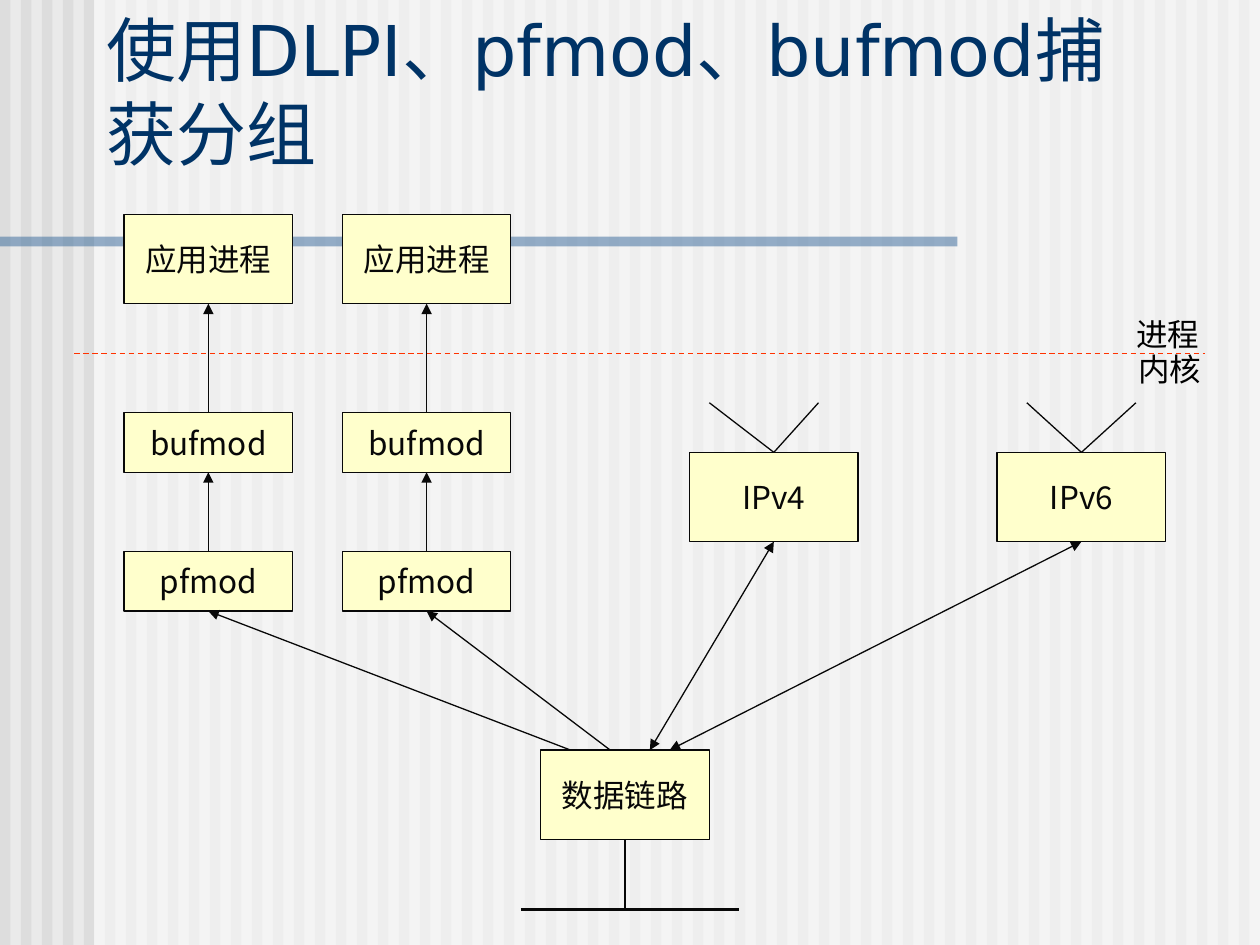
"""Build a slide on capturing packets with DLPI, pfmod and bufmod."""
from dataclasses import dataclass
from typing import Optional

from lxml.etree import SubElement
from pptx import Presentation
from pptx.dml.color import RGBColor
from pptx.enum.dml import MSO_LINE
from pptx.enum.shapes import MSO_CONNECTOR, MSO_SHAPE
from pptx.enum.text import MSO_ANCHOR, MSO_AUTO_SIZE, PP_ALIGN
from pptx.oxml.ns import qn
from pptx.util import Cm, Pt

COLORS = {
    "back": "EAEAEA", "stripe": "DDDDDD", "panel": "FFFFFF", "rule": "336699",
    "title": "003366", "box": "FFFFCC", "ink": "080808", "label": "000000",
    "border": "FF3300",
}
SANS = "Noto Sans CJK JP"
WIDE, HIGH = 25.4, 19.05
BOX, TALL, LOW = 3.4, 1.8, 1.2
TOP, BOTTOM = 0, 2
FRAMES = {
    "title": {"vertical_anchor": MSO_ANCHOR.BOTTOM, "word_wrap": True,
              "auto_size": MSO_AUTO_SIZE.NONE},
    "box": {"vertical_anchor": MSO_ANCHOR.MIDDLE, "word_wrap": False},
    "label": {"vertical_anchor": MSO_ANCHOR.TOP, "word_wrap": False},
}
FONTS = {
    "title": {"size": Pt(40), "name": "DejaVu Sans"},
    "box": {"size": Pt(18), "name": SANS},
    "label": {"size": Pt(18), "name": "Arial"},
}


@dataclass
class Box:
    text: str
    left: float
    top: float
    high: float


@dataclass
class Line:
    start: tuple[float, float] = (0, 0)
    end: tuple[float, float] = (0, 0)
    tail: Optional[tuple] = None
    tip: Optional[tuple] = None
    arrows: tuple[str, ...] = ()
    color: str = "ink"
    weight: float = 0.75
    dash: bool = False


def color(name: str) -> RGBColor:
    """Return a named colour."""
    return RGBColor.from_string(COLORS[name])


def write(frame, text: str, style: str, ink: str, align=PP_ALIGN.LEFT) -> None:
    """Put styled text in a frame."""
    for key, value in FRAMES[style].items():
        setattr(frame, key, value)
    para = frame.paragraphs[0]
    para.alignment = align
    run = para.add_run()
    run.text = text
    for key, value in FONTS[style].items():
        setattr(run.font, key, value)
    run.font.color.rgb = color(ink)
    SubElement(run.font._element, qn("a:ea"), typeface=SANS)


def draw_rect(shapes, left: float, top: float, wide: float, high: float,
              fill: str, alpha: Optional[int] = None):
    """Draw a plain rectangle, with alpha in percent."""
    rect = shapes.add_shape(MSO_SHAPE.RECTANGLE, Cm(left), Cm(top), Cm(wide), Cm(high))
    rect.shadow.inherit = False
    rect.fill.solid()
    rect.fill.fore_color.rgb = color(fill)
    rect.line.fill.background()
    if alpha is not None:
        tint = rect.element.spPr.find(qn("a:solidFill"))[0]
        SubElement(tint, qn("a:alpha"), val=str(alpha * 1000))
    return rect


def draw_box(shapes, box: Box):
    """Draw a box with its name."""
    rect = draw_rect(shapes, box.left, box.top, BOX, box.high, "box")
    rect.line.color.rgb = color("ink")
    rect.line.width = Pt(0.75)
    write(rect.text_frame, box.text, "box", "ink", PP_ALIGN.CENTER)
    return rect


def draw_line(shapes, line: Line) -> None:
    """Draw a line and join it to its boxes."""
    points = [Cm(n) for n in line.start + line.end]
    wire = shapes.add_connector(MSO_CONNECTOR.STRAIGHT, *points)
    if line.tail:
        wire.begin_connect(*line.tail)
    if line.tip:
        wire.end_connect(*line.tip)
    wire.line.color.rgb = color(line.color)
    wire.line.width = Pt(line.weight)
    if line.dash:
        wire.line.dash_style = MSO_LINE.DASH
    for name in line.arrows:
        SubElement(wire.line._get_or_add_ln(), qn(f"a:{name}"), type="triangle")
    SubElement(wire.element.spPr, qn("a:effectLst"))


def draw_back(slide) -> None:
    """Draw the striped background and the rule."""
    slide.background.fill.solid()
    slide.background.fill.fore_color.rgb = color("back")
    step = WIDE / 60
    for i in range(60):
        draw_rect(slide.shapes, i * step, 0, step / 2, HIGH, "stripe")
    draw_rect(slide.shapes, 1.9, 0, WIDE - 1.9, HIGH, "panel", 50)
    draw_rect(slide.shapes, 0, 4.77, 19.3, 0.2, "rule", 50)


def draw_title(slide) -> None:
    """Place the title above the background."""
    title = slide.shapes.title
    title.left, title.top, title.width, title.height = Cm(1.9), Cm(0), Cm(21.4), Cm(3.65)
    write(title.text_frame, "使用DLPI、pfmod、bufmod捕获分组", "title", "title")
    title.element.getparent().append(title.element)


def draw_flow(shapes) -> None:
    """Draw the boxes and the paths between them."""
    base = 15.12
    link = draw_box(shapes, Box("数据链路", 10.9, base, TALL))
    one, two = ("tailEnd",), ("headEnd", "tailEnd")
    lines = []
    for left, start in ((2.5, 11.5), (6.9, 12.3)):
        app, buf, filt = [draw_box(shapes, box) for box in (
            Box("应用进程", left, 4.32, TALL),
            Box("bufmod", left, 8.32, LOW),
            Box("pfmod", left, 11.12, LOW),
        )]
        lines += [
            Line(tail=(buf, TOP), tip=(app, BOTTOM), arrows=one),
            Line(tail=(filt, TOP), tip=(buf, BOTTOM), arrows=one),
            Line(start=(start, base), tip=(filt, BOTTOM), arrows=one),
        ]
    for text, left, start, arms in (("IPv4", 13.9, 13.1, (14.3, 16.5)),
                                    ("IPv6", 20.1, 13.5, (20.7, 22.9))):
        stack = draw_box(shapes, Box(text, left, 9.12, TALL))
        lines.append(Line(start=(start, base), tip=(stack, BOTTOM), arrows=two))
        lines += [Line(tail=(stack, TOP), end=(x, 8.12)) for x in arms]
    floor = 18.33
    lines += [
        Line((1.5, 7.12), (24.3, 7.12), color="border", dash=True),
        Line(tail=(link, BOTTOM), end=(12.6, floor), weight=1.5),
        Line((10.5, floor), (14.9, floor), weight=1.5),
    ]
    for line in lines:
        draw_line(shapes, line)


def main() -> None:
    """Build and save the slide."""
    deck = Presentation()
    deck.slide_width, deck.slide_height = Cm(WIDE), Cm(HIGH)
    slide = deck.slides.add_slide(deck.slide_layouts[5])
    draw_back(slide)
    draw_title(slide)
    draw_flow(slide.shapes)
    for text, left, top in (("进程", 22.66, 6.22), ("内核", 22.7, 6.93)):
        label = slide.shapes.add_textbox(Cm(left), Cm(top), Cm(1.78), Cm(1.02))
        write(label.text_frame, text, "label", "label")
    deck.save("out.pptx")


if __name__ == "__main__":
    main()
